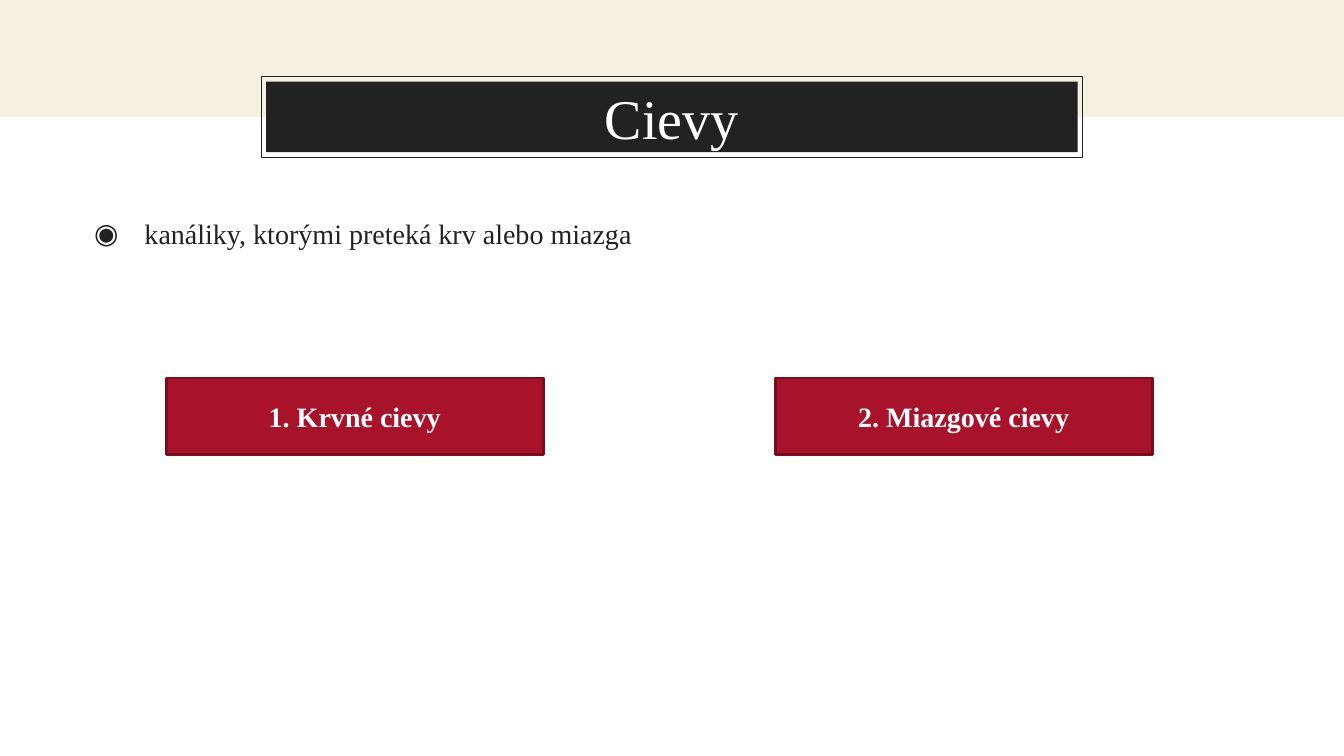
from dataclasses import dataclass

from lxml.etree import SubElement
from pptx import Presentation
from pptx.dml.color import RGBColor
from pptx.enum.shapes import MSO_SHAPE
from pptx.enum.text import MSO_ANCHOR, MSO_AUTO_SIZE, PP_ALIGN
from pptx.oxml.ns import qn
from pptx.shapes.autoshape import Shape
from pptx.slide import Slide
from pptx.text.text import TextFrame
from pptx.util import Emu, Inches, Pt

SLIDE_WIDTH, SLIDE_HEIGHT = Inches(13.33), Inches(7.5)
GRID_COLUMNS, GRID_ROWS = 160, 90
FONT_NAME = "Times New Roman"
DARK, WHITE, CREAM, RED, DARK_RED = "222222", "FFFFFF", "F5F1E0", "A8122A", "7C0D1F"


@dataclass(frozen=True)
class Area:
    column: float
    row: float
    columns: float
    rows: float

    def grown(self, margin: float) -> "Area":
        return Area(self.column - margin, self.row - margin,
                    self.columns + 2 * margin, self.rows + 2 * margin)


@dataclass(frozen=True)
class TextStyle:
    size: float
    color: str
    bold: bool = False
    alignment: PP_ALIGN = PP_ALIGN.CENTER
    anchor: MSO_ANCHOR = MSO_ANCHOR.MIDDLE


BAND = Area(0, 0, GRID_COLUMNS, 13.92)
TITLE = Area(31.68, 9.72, 96.6, 8.4)
BODY = Area(8, 24.6, 144, 61.68)
FIRST_VESSEL = Area(19.8, 45, 44.88, 9.12)
VESSEL_STEP = 72.48
VESSELS = ("1. Krvné cievy", "2. Miazgové cievy")


def rgb(color: str) -> RGBColor:
    return RGBColor.from_string(color)


def across(columns: float) -> Emu:
    return Emu(round(SLIDE_WIDTH * columns / GRID_COLUMNS))


def down(rows: float) -> Emu:
    return Emu(round(SLIDE_HEIGHT * rows / GRID_ROWS))


def place(shape: Shape, area: Area) -> None:
    shape.left, shape.top = across(area.column), down(area.row)
    shape.width, shape.height = across(area.columns), down(area.rows)


def add_rectangle(slide: Slide, area: Area, fill: str | None = None,
                  line: str | None = None, line_width: float = 0) -> Shape:
    shape = slide.shapes.add_shape(MSO_SHAPE.RECTANGLE, 0, 0, 0, 0)
    place(shape, area)
    shape.shadow.inherit = False
    if fill:
        shape.fill.solid()
        shape.fill.fore_color.rgb = rgb(fill)
    else:
        shape.fill.background()
    if line:
        shape.line.color.rgb = rgb(line)
        shape.line.width = Pt(line_width)
    else:
        shape.line.fill.background()
    return shape


def write(text_frame: TextFrame, text: str, style: TextStyle) -> None:
    text_frame.text = text
    text_frame.word_wrap = True
    text_frame.auto_size = MSO_AUTO_SIZE.NONE
    text_frame.vertical_anchor = style.anchor
    paragraph = text_frame.paragraphs[0]
    paragraph.alignment = style.alignment
    paragraph.space_before = Pt(0)
    font = paragraph.runs[0].font
    font.name, font.size, font.bold = FONT_NAME, Pt(style.size), style.bold
    font.color.rgb = rgb(style.color)


def set_margins(text_frame: TextFrame, margin: Emu) -> None:
    text_frame.margin_left = text_frame.margin_right = margin
    text_frame.margin_top = text_frame.margin_bottom = margin


def add_bullet(text_frame: TextFrame, character: str, color: str) -> None:
    properties = text_frame.paragraphs[0]._p.get_or_add_pPr()
    properties.set("marL", str(across(8)))
    properties.set("indent", str(-across(6)))
    bullet_color = SubElement(properties, qn("a:buClr"))
    SubElement(bullet_color, qn("a:srgbClr")).set("val", color)
    SubElement(properties, qn("a:buChar")).set("char", character)


def add_heading(slide: Slide) -> None:
    title = slide.shapes.title
    place(title, TITLE)
    title.fill.solid()
    title.fill.fore_color.rgb = rgb(DARK)
    set_margins(title.text_frame, Inches(0.1))
    write(title.text_frame, "Cievy", TextStyle(40, WHITE))
    band = add_rectangle(slide, BAND, fill=CREAM)
    frame = add_rectangle(slide, TITLE.grown(0.6), line=DARK, line_width=0.75)
    for backdrop in (band, frame):
        title.element.addprevious(backdrop.element)


def add_definition(slide: Slide) -> None:
    body = slide.placeholders[1]
    place(body, BODY)
    set_margins(body.text_frame, Inches(0.1))
    write(body.text_frame, "kanáliky, ktorými preteká krv alebo miazga",
          TextStyle(20, DARK, alignment=PP_ALIGN.LEFT, anchor=MSO_ANCHOR.TOP))
    add_bullet(body.text_frame, "◉", DARK)


def add_vessels(slide: Slide) -> None:
    for index, label in enumerate(VESSELS):
        area = Area(FIRST_VESSEL.column + index * VESSEL_STEP, FIRST_VESSEL.row,
                    FIRST_VESSEL.columns, FIRST_VESSEL.rows)
        box = add_rectangle(slide, area, RED, DARK_RED, 2)
        write(box.text_frame, label, TextStyle(20, WHITE, bold=True))


def main() -> None:
    presentation = Presentation()
    presentation.slide_width, presentation.slide_height = SLIDE_WIDTH, SLIDE_HEIGHT
    slide = presentation.slides.add_slide(presentation.slide_layouts[1])
    add_heading(slide)
    add_definition(slide)
    add_vessels(slide)
    presentation.save("out.pptx")


if __name__ == "__main__":
    main()
